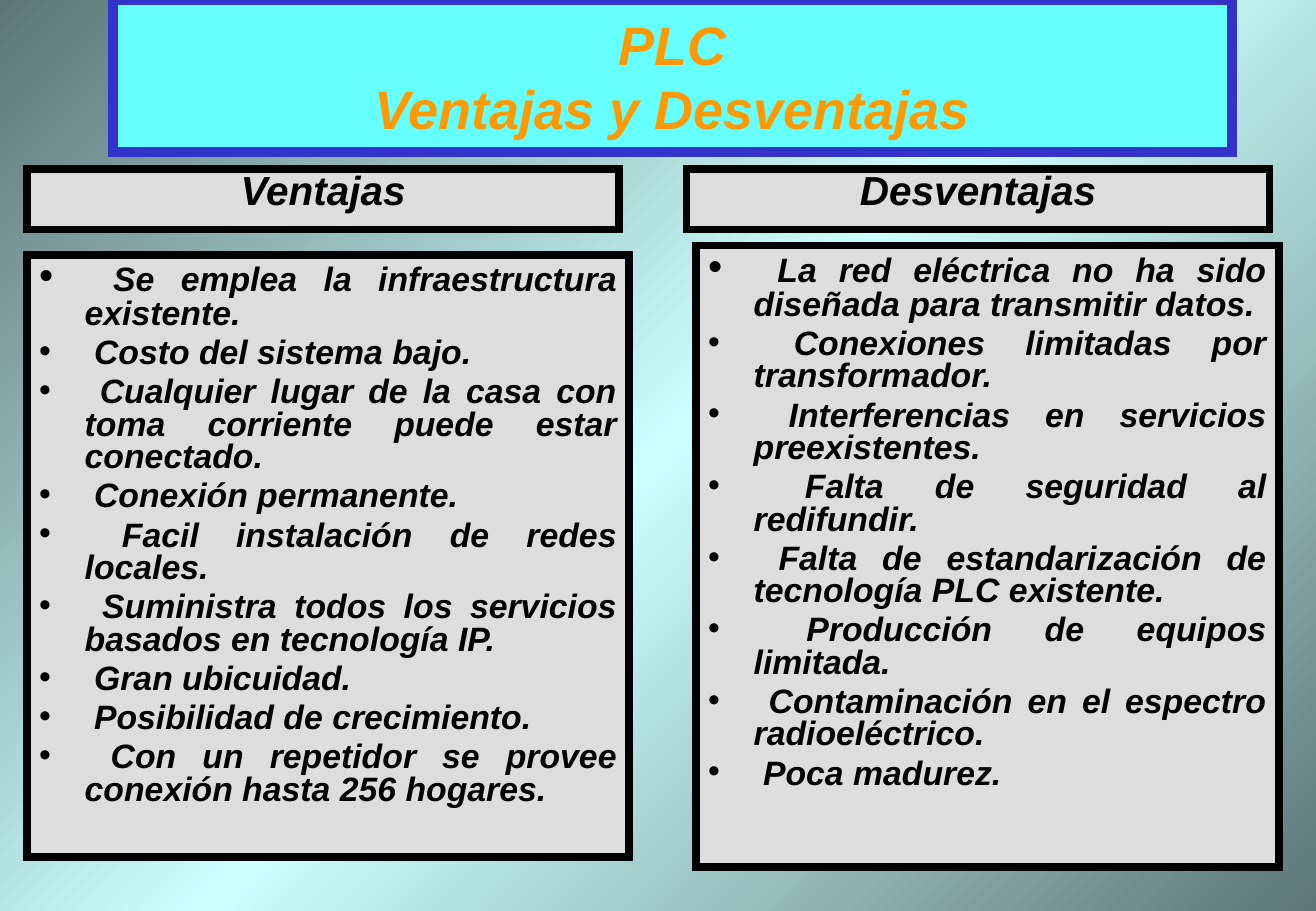
from copy import deepcopy

from lxml import etree
from pptx import Presentation
from pptx.dml.color import RGBColor
from pptx.enum import text as t
from pptx.oxml.ns import qn
from pptx.util import Pt

COLORS = {
    "edge": "5E7676", "glow": "CCFFFF",
    "title_fill": "66FFFF", "title_line": "3333CC", "title_text": "FF9900",
    "panel": "DDDDDD", "ink": "000000",
}
COMPARISON_LAYOUT = 4

# heading, heading box, list box, list items
COLUMNS = [
    ("Ventajas", (16, 100, 351, 36), (16, 151, 357, 357), [
        "Se emplea la infraestructura existente.",
        "Costo del sistema bajo.",
        "Cualquier lugar de la casa con toma corriente puede estar conectado.",
        "Conexión permanente.",
        "Facil instalación de redes locales.",
        "Suministra todos los servicios basados en tecnología IP.",
        "Gran ubicuidad.",
        "Posibilidad de crecimiento.",
        "Con un repetidor se provee conexión hasta 256 hogares.",
    ]),
    ("Desventajas", (407, 100, 345.5, 36), (412.5, 145.5, 345.5, 368.5), [
        "La red eléctrica no ha sido diseñada para transmitir datos.",
        "Conexiones limitadas por transformador.",
        "Interferencias en servicios preexistentes.",
        "Falta de seguridad al redifundir.",
        "Falta de estandarización de tecnología PLC existente.",
        "Producción de equipos limitada.",
        "Contaminación en el espectro radioeléctrico.",
        "Poca madurez.",
    ]),
]


def rgb(name):
    return RGBColor.from_string(COLORS[name])


def apply(target, values):
    for name, value in values.items():
        setattr(target, name, value)


class ComparisonSlide:
    font = {"name": "Arial", "bold": True, "italic": True}

    def __init__(self, prs):
        self.slide = prs.slides.add_slide(prs.slide_layouts[COMPARISON_LAYOUT])

    def background(self):
        fill = self.slide.background.fill
        fill.gradient()
        stops = self.slide._element.xpath(".//a:gsLst")[0]
        stops.insert(1, deepcopy(stops[0]))
        for stop, position, color in zip(
                fill.gradient_stops, (0, 0.5, 1), ("edge", "glow", "edge")):
            stop.position = position
            stop.color.rgb = rgb(color)
        fill.gradient_angle = 315

    def panel(self, index, box, fill="panel", line="ink", width=4.5,
              anchor=t.MSO_ANCHOR.TOP):
        """Frame the placeholder with this index and return its text frame."""
        holder = self.slide.placeholders[index]
        apply(holder, dict(zip(("left", "top", "width", "height"), map(Pt, box))))
        holder.fill.solid()
        holder.fill.fore_color.rgb = rgb(fill)
        holder.line.color.rgb = rgb(line)
        holder.line.width = Pt(width)
        outline = holder._element.spPr.find(qn("a:ln"))
        etree.SubElement(outline, qn("a:miter"), lim="800000")
        frame = holder.text_frame
        apply(frame, {"auto_size": t.MSO_AUTO_SIZE.NONE, "word_wrap": True,
                      "vertical_anchor": anchor})
        return frame

    def run(self, paragraph, words, size, color="ink"):
        run = paragraph.add_run()
        run.text = words
        apply(run.font, {**self.font, "size": Pt(size)})
        run.font.color.rgb = rgb(color)

    def title(self, lines, box):
        frame = self.panel(0, box, "title_fill", "title_line", 6, t.MSO_ANCHOR.MIDDLE)
        paragraph = frame.paragraphs[0]
        paragraph.alignment = t.PP_ALIGN.CENTER
        for number, line in enumerate(lines):
            if number:
                paragraph.add_line_break()
            self.run(paragraph, line, 32, "title_text")

    def heading(self, index, words, box):
        paragraph = self.panel(index, box).paragraphs[0]
        apply(paragraph, {"alignment": t.PP_ALIGN.CENTER, "line_spacing": 0.8,
                          "space_before": Pt(0)})
        self.run(paragraph, words, 24)

    def bullets(self, index, items, box):
        """Fill a list; the larger lead space enlarges the first bullet."""
        frame = self.panel(index, box)
        for number, item in enumerate(items):
            paragraph = frame.add_paragraph() if number else frame.paragraphs[0]
            apply(paragraph, {"alignment": t.PP_ALIGN.JUSTIFY, "line_spacing": 0.8,
                              "space_before": Pt(4 if number else 0)})
            self.run(paragraph, " ", 20 if number else 24)
            self.run(paragraph, item, 20)


def main():
    prs = Presentation()
    prs.slide_width, prs.slide_height = Pt(780), Pt(540)
    slide = ComparisonSlide(prs)
    slide.background()
    slide.title(["PLC", "Ventajas y Desventajas"], (67, 0, 663, 90))
    for number, (heading, heading_box, list_box, items) in enumerate(COLUMNS):
        slide.heading(2 * number + 1, heading, heading_box)
        slide.bullets(2 * number + 2, items, list_box)
    prs.save("out.pptx")


if __name__ == "__main__":
    main()
